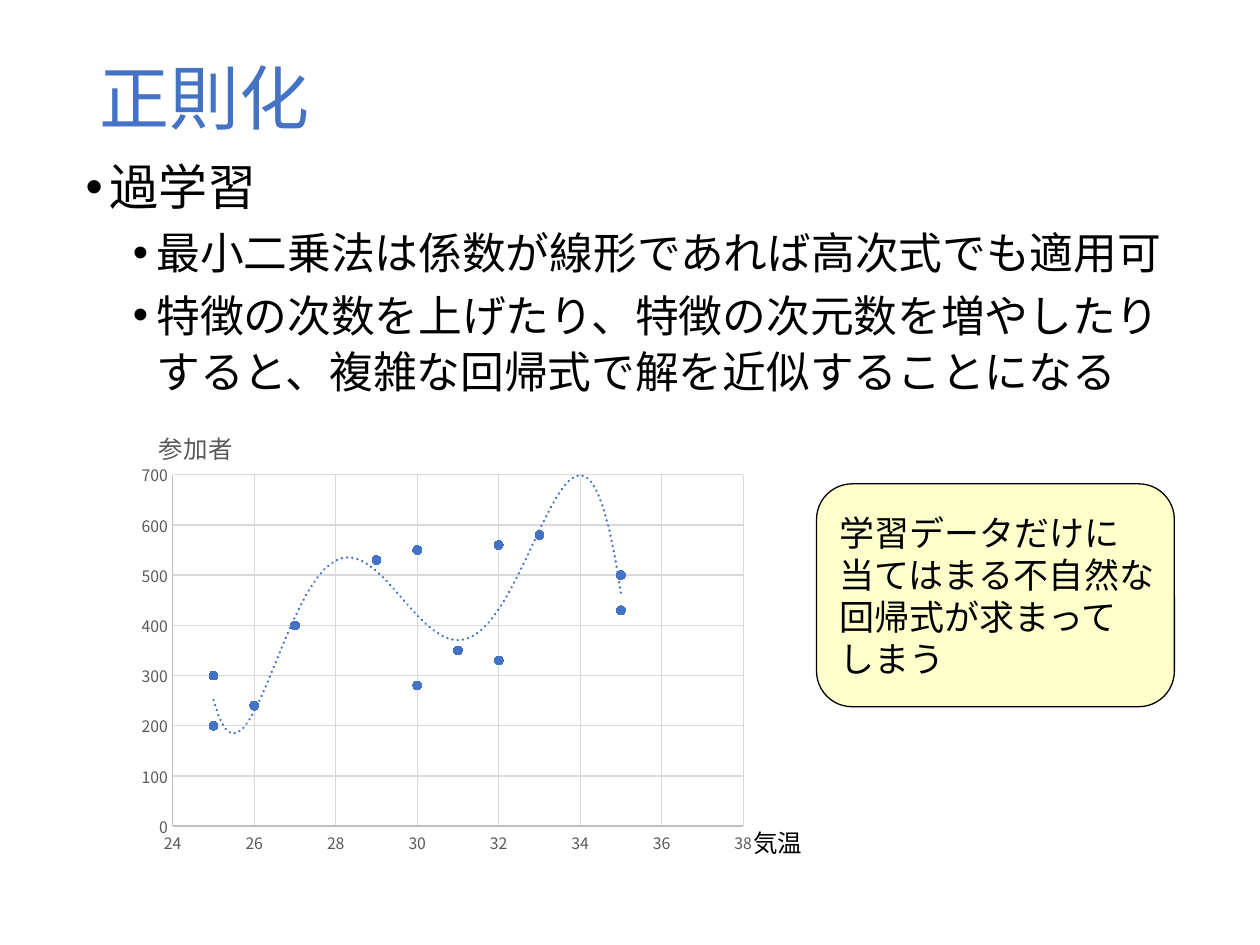
import pptx
import pptx.util
import pptx.chart.data
import pptx.dml.color
import pptx.enum.chart
import pptx.enum.shapes
import pptx.enum.text
import pptx.oxml
import pptx.oxml.ns
import lxml.etree

Pt = pptx.util.Pt
qn = pptx.oxml.ns.qn
FONT = "Noto Sans CJK JP"
COLORS = {"blue": "4472C4", "black": "000000", "gray": "595959",
          "axis": "BFBFBF", "grid": "D9D9D9", "note": "FFFFCC"}


def set_font(font, size, color, name=FONT):
    font.size = Pt(size)
    font.bold = False
    font.name = name
    font.color.rgb = pptx.dml.color.RGBColor.from_string(COLORS[color])
    east_asian = lxml.etree.Element(qn("a:ea"), typeface=FONT)
    font._element.find(qn("a:latin")).addnext(east_asian)


def set_line(line, color, width=0.75):
    line.color.rgb = pptx.dml.color.RGBColor.from_string(COLORS[color])
    line.width = Pt(width)


deck = pptx.Presentation()
deck.slide_width = Pt(720)
deck.slide_height = Pt(540)
page = deck.slides.add_slide(deck.slide_layouts[5])

title = page.shapes.title
title.left, title.top, title.width, title.height = Pt(49.5), Pt(28.8), Pt(621), Pt(59)
title.text_frame.vertical_anchor = pptx.enum.text.MSO_ANCHOR.MIDDLE
para = title.text_frame.paragraphs[0]
para.alignment = pptx.enum.text.PP_ALIGN.LEFT
para.line_spacing = 0.9
span = para.add_run()
span.text = "正則化"
set_font(span.font, 40, "blue")

body = page.shapes.add_textbox(Pt(41.8), Pt(87.8), Pt(637.2), Pt(364.3))
body.text_frame.word_wrap = True
bullets = [
    (0, "過学習"),
    (1, "最小二乗法は係数が線形であれば高次式でも適用可"),
    (1, "特徴の次数を上げたり、特徴の次元数を増やしたりすると、複雑な回帰式で解を近似することになる"),
]
for index, (level, text) in enumerate(bullets):
    para = body.text_frame.add_paragraph() if index else body.text_frame.paragraphs[0]
    para.level = level
    para.line_spacing = Pt(32)
    para.space_before = Pt(3.8 if level else 7.5)
    properties = para._p.get_or_add_pPr()
    properties.set("marL", str(Pt(13.5 + 27 * level)))
    properties.set("indent", str(Pt(-13.5)))
    lxml.etree.SubElement(properties, qn("a:buFont"), typeface="Arial")
    lxml.etree.SubElement(properties, qn("a:buChar"), char="•")
    span = para.add_run()
    span.text = text
    set_font(span.font, 25 if level else 28, "black")

temperatures = [25, 26, 30, 32, 25, 31, 35, 27, 35, 32, 33, 30, 29]
participants = [200, 240, 280, 330, 300, 350, 430, 400, 500, 560, 580, 550, 530]
data = pptx.chart.data.XyChartData()
points = data.add_series("参加者")
for temperature, count in zip(temperatures, participants):
    points.add_data_point(temperature, count)
chart = page.shapes.add_chart(
    pptx.enum.chart.XL_CHART_TYPE.XY_SCATTER,
    Pt(73.4), Pt(222.5), Pt(362.2), Pt(271.4), data).chart
set_font(chart.font, 10, "black")
chart.has_legend = False
chart.has_title = True
span = chart.chart_title.text_frame.paragraphs[0].add_run()
span.text = "参加者"
set_font(span.font, 14, "gray")
chart.chart_title.include_in_layout = False

axes = [(chart.category_axis, 24, 38, 2), (chart.value_axis, 0, 700, 100)]
for axis, low, high, step in axes:
    axis.minimum_scale, axis.maximum_scale, axis.major_unit = low, high, step
    axis.major_tick_mark = pptx.enum.chart.XL_TICK_MARK.NONE
    axis.minor_tick_mark = pptx.enum.chart.XL_TICK_MARK.NONE
    axis.has_major_gridlines = True
    set_line(axis.major_gridlines.format.line, "grid")
    set_line(axis.format.line, "axis")
    set_font(axis.tick_labels.font, 9, "gray")

plot = chart.plots[0]
plot.vary_by_categories = False
series = plot.series[0]
series.smooth = False
series.format.line.fill.background()
series.marker.style = pptx.enum.chart.XL_MARKER_STYLE.CIRCLE
series.marker.size = 5
series.marker.format.fill.solid()
series.marker.format.fill.fore_color.rgb = pptx.dml.color.RGBColor.from_string(COLORS["blue"])
set_line(series.marker.format.line, "blue")

namespaces = pptx.oxml.ns.nsdecls("c", "a")
trend = pptx.oxml.parse_xml(
    f'<c:trendline {namespaces}><c:spPr><a:ln w="{Pt(1.5)}" cap="rnd"><a:solidFill>'
    f'<a:srgbClr val="{COLORS["blue"]}"/></a:solidFill><a:prstDash val="sysDot"/></a:ln></c:spPr>'
    '<c:trendlineType val="poly"/><c:order val="6"/>'
    '<c:dispRSqr val="0"/><c:dispEq val="0"/></c:trendline>')
series._element.find(qn("c:xVal")).addprevious(trend)

layouts = [
    (chart.chart_title._element, {"xMode": "edge", "yMode": "edge", "x": 0.04, "y": 0.07}),
    (chart._chartSpace.chart.plotArea,
     {"layoutTarget": "inner", "xMode": "edge", "yMode": "edge",
      "x": 0.07, "y": 0.18, "w": 0.9, "h": 0.74}),
]
for parent, values in layouts:
    for old in parent.findall(qn("c:layout")):
        parent.remove(old)
    layout = lxml.etree.Element(qn("c:layout"))
    manual = lxml.etree.SubElement(layout, qn("c:manualLayout"))
    for tag, value in values.items():
        lxml.etree.SubElement(manual, qn("c:" + tag), val=str(value))
    text = parent.find(qn("c:tx"))
    if text is None:
        parent.insert(0, layout)
    else:
        text.addnext(layout)

axis_label = page.shapes.add_textbox(Pt(423.4), Pt(469.4), Pt(42.4), Pt(24.5))
axis_label.text_frame.word_wrap = False
span = axis_label.text_frame.paragraphs[0].add_run()
span.text = "気温"
set_font(span.font, 14, "black")

note = page.shapes.add_shape(
    pptx.enum.shapes.MSO_SHAPE.ROUNDED_RECTANGLE, Pt(466.6), Pt(276.5), Pt(204.5), Pt(127.4))
note.adjustments[0] = 0.16
note.shadow.inherit = False
note.fill.solid()
note.fill.fore_color.rgb = pptx.dml.color.RGBColor.from_string(COLORS["note"])
set_line(note.line, "black")
frame = note.text_frame
frame.word_wrap = False
frame.vertical_anchor = pptx.enum.text.MSO_ANCHOR.MIDDLE
frame.margin_left = frame.margin_right = Pt(7.2)
frame.margin_top = frame.margin_bottom = Pt(3.6)
note_lines = ["学習データだけに", "当てはまる不自然な", "回帰式が求まって", "しまう"]
for index, text in enumerate(note_lines):
    para = frame.add_paragraph() if index else frame.paragraphs[0]
    para.alignment = pptx.enum.text.PP_ALIGN.LEFT
    span = para.add_run()
    span.text = text
    set_font(span.font, 20, "black", "Arial")

deck.save("out.pptx")
